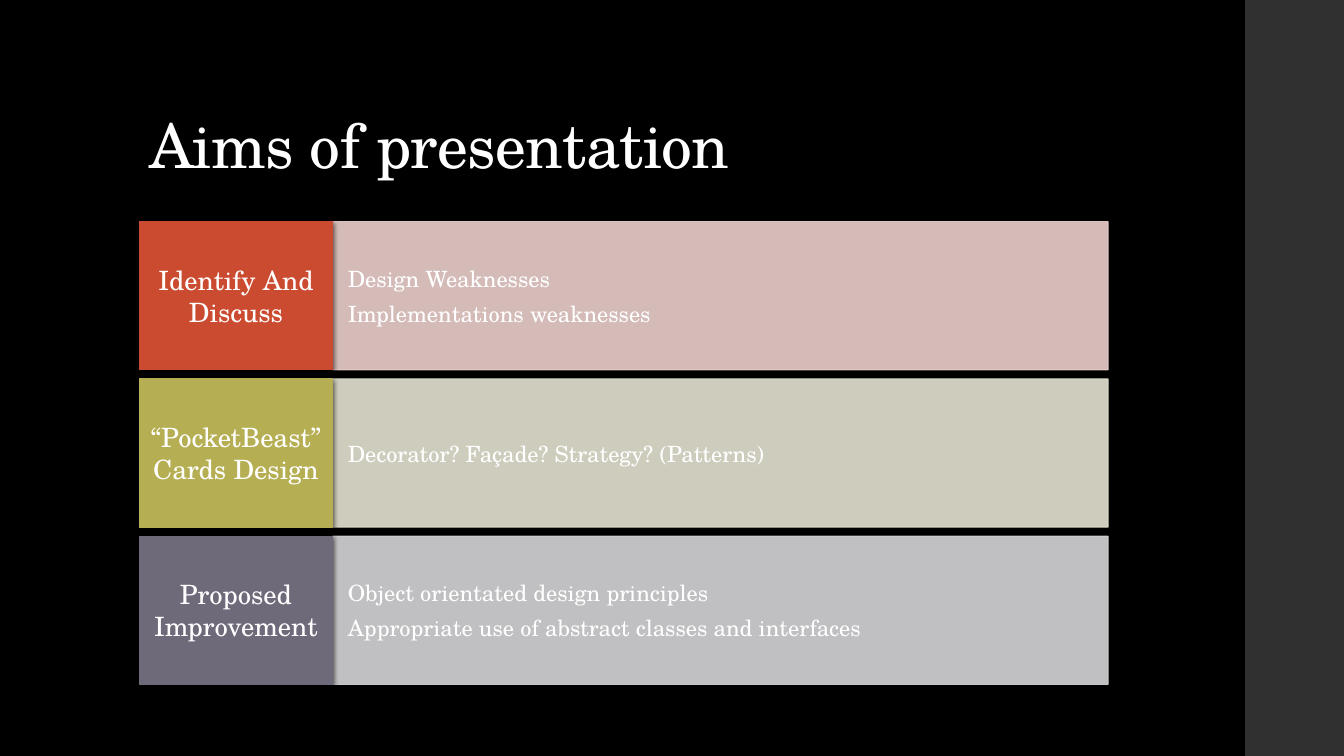
from lxml.etree import SubElement
from pptx import Presentation
from pptx.dml.color import RGBColor
from pptx.enum.shapes import MSO_SHAPE
from pptx.enum.text import MSO_ANCHOR, PP_ALIGN
from pptx.oxml.ns import qn
from pptx.util import Inches, Pt

FONT = "TeX Gyre Schola"


def paint(target, color, alpha=100):
    """Give a fill a solid colour, with alpha in percent."""
    target.solid()
    target.fore_color.rgb = RGBColor.from_string(color)
    if alpha < 100:
        node = target._xPr.find(qn("a:solidFill"))[0]
        SubElement(node, qn("a:alpha"), val=str(alpha * 1000))


def add_block(left, top, width, height, color, alpha=100, lines=(),
              size=16, align=PP_ALIGN.LEFT, pad=(0.15, 0.37)):
    block = slide.shapes.add_shape(MSO_SHAPE.RECTANGLE, Inches(left), Inches(top),
                                   Inches(width), Inches(height))
    block.shadow.inherit = False
    paint(block.fill, color, alpha)
    block.line.width = Pt(0.75)
    paint(block.line.fill, color, alpha)
    frame = block.text_frame
    frame.word_wrap = True
    frame.vertical_anchor = MSO_ANCHOR.MIDDLE
    frame.margin_left = frame.margin_right = Inches(pad[0])
    frame.margin_top = frame.margin_bottom = Inches(pad[1])
    frame.text = "\n".join(lines)
    for para in frame.paragraphs:
        para.alignment = align
        para.space_after = Pt(size * 0.35)
        para.font.name = FONT
        para.font.size = Pt(size)
        para.font.color.rgb = RGBColor.from_string("FFFFFF")
    return block


deck = Presentation()
deck.slide_width, deck.slide_height = Inches(13.33), Inches(7.5)
slide = deck.slides.add_slide(deck.slide_layouts[6])
paint(slide.background.fill, "000000")

# Side band
band = add_block(12.35, 0, 0.98, 7.5, "303030")
band.line.fill.background()

# Title
title = slide.shapes.add_textbox(Inches(1.38), Inches(0.4), Inches(10.6), Inches(1.45))
frame = title.text_frame
frame.word_wrap = True
frame.vertical_anchor = MSO_ANCHOR.BOTTOM
para = frame.paragraphs[0]
para.line_spacing = 0.9
run = para.add_run()
run.text = "Aims of presentation"
run.font.name = FONT
run.font.size = Pt(44)
run.font.color.rgb = RGBColor.from_string("FFFFFF")
run.font._element.set("spc", "-50")

# Aims: label, its colour, panel colour, points
aims = [
    ("Identify And Discuss", "CB4B30", "ECD0CD",
     ["Design Weaknesses", "Implementations weaknesses"]),
    ("“PocketBeast” Cards Design", "B5AE53", "E5E3D1",
     ["Decorator? Façade? Strategy? (Patterns)"]),
    ("Proposed Improvement", "6F6A7A", "D5D4D7",
     ["Object orientated design principles",
      "Appropriate use of abstract classes and interfaces"]),
]
for row, (label, dark, light, points) in enumerate(aims):
    top = 2.2 + row * 1.56
    add_block(3.3, top, 7.69, 1.47, light, 90, points)
    tile = add_block(1.38, top, 1.92, 1.47, dark, lines=[label], size=19,
                     align=PP_ALIGN.CENTER, pad=(0.1, 0.15))
    effects = tile._element.spPr.find(qn("a:effectLst"))
    shade = SubElement(effects, qn("a:outerShdw"), blurRad=str(Pt(4)),
                       dist=str(Pt(1.2)), dir="5400000", rotWithShape="0")
    black = SubElement(shade, qn("a:srgbClr"), val="000000")
    SubElement(black, qn("a:alpha"), val="75000")

deck.save("out.pptx")
